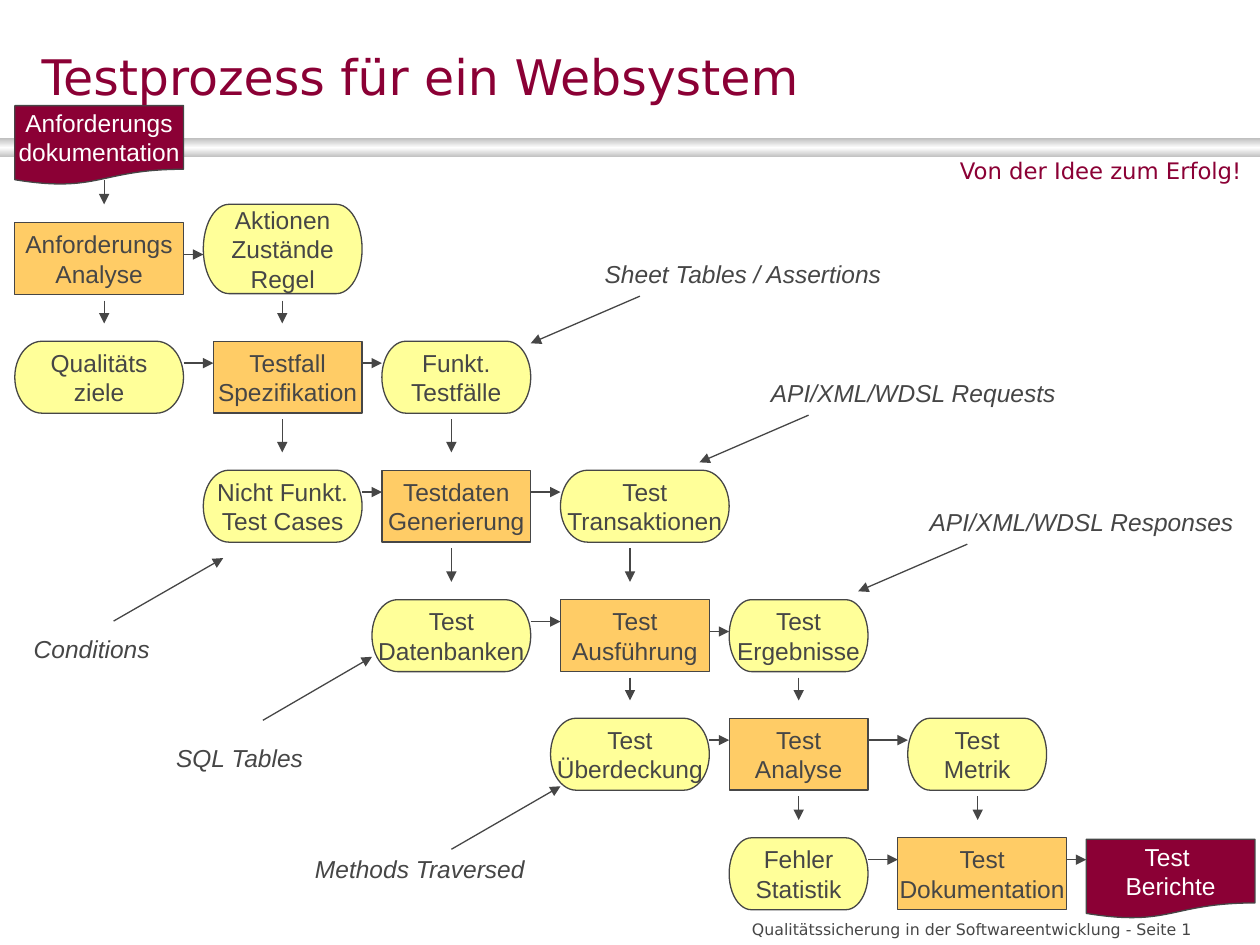
"""Build the slide on the test process for a web system."""
import copy

import lxml.etree
import pptx
import pptx.dml.color
import pptx.enum.dml
import pptx.enum.shapes
import pptx.enum.text
import pptx.oxml.ns
import pptx.util

Cm = pptx.util.Cm
Pt = pptx.util.Pt
ALIGN = pptx.enum.text.PP_ALIGN
SHAPE = pptx.enum.shapes.MSO_SHAPE

COLORS = {
    "wine": "8B0035",
    "step": "FFCC66",
    "result": "FFFF99",
    "ink": "464646",
    "white": "FFFFFF",
    "silver": "C0C0C0",
    "shine": "FEFEFE",
}
KINDS = {
    "step": (SHAPE.RECTANGLE, "step", "ink"),
    "result": (SHAPE.FLOWCHART_TERMINATOR, "result", "ink"),
    "document": (SHAPE.FLOWCHART_DOCUMENT, "wine", "white"),
}
ROW_TOPS = [4.49, 6.88, 9.48, 12.09, 14.48, 16.89]
COLUMN_CENTERS = [2.1, 5.69, 9.1, 12.7, 16.1, 19.71]
BOX_HEIGHT = 1.45
DOCUMENT_HEIGHT = 1.6
HIGH_ENTRY, LOW_ENTRY = 0.44, 0.64

ROWS = [
    [("step", 0.3, 3.4, ["Anforderungs", "Analyse"]),
     ("result", 4.1, 3.2, ["Aktionen", "Zustände", "Regel"])],
    [("result", 0.3, 3.4, ["Qualitäts", "ziele"]),
     ("step", 4.3, 3, ["Testfall", "Spezifikation"]),
     ("result", 7.7, 3, ["Funkt.", "Testfälle"])],
    [("result", 4.1, 3.2, ["Nicht Funkt.", "Test Cases"]),
     ("step", 7.7, 3, ["Testdaten", "Generierung"]),
     ("result", 11.3, 3.4, ["Test", "Transaktionen"])],
    [("result", 7.5, 3.2, ["Test", "Datenbanken"]),
     ("step", 11.3, 3, ["Test", "Ausführung"]),
     ("result", 14.7, 2.8, ["Test", "Ergebnisse"])],
    [("result", 11.1, 3.2, ["Test", "Überdeckung"]),
     ("step", 14.7, 2.8, ["Test", "Analyse"]),
     ("result", 18.3, 2.8, ["Test", "Metrik"])],
    [("result", 14.7, 2.8, ["Fehler", "Statistik"]),
     ("step", 18.1, 3.4, ["Test", "Dokumentation"]),
     ("document", 21.9, 3.4, ["Test ", "Berichte"])],
]
NOTES = [
    ("Conditions", (0.43, 12.65, 2.84), (2.29, 12.52, 4.5, 11.25)),
    ("SQL Tables", (3.3, 14.86, 3.12), (5.3, 14.52, 7.5, 13.24)),
    ("Methods Traversed", (6.1, 17.1, 4.78), (9.1, 17.12, 11.3, 15.85)),
    ("Sheet Tables / Assertions", (11.94, 5.1, 6.4), (12.9, 5.97, 10.7, 6.92)),
    ("API/XML/WDSL Requests", (15.29, 7.5, 6.25), (16.3, 8.37, 14.1, 9.32)),
    ("API/XML/WDSL Responses", (18.49, 10.09, 6.63), (19.5, 10.97, 17.3, 11.92)),
]


def color(name):
    """Return the named colour."""
    return pptx.dml.color.RGBColor.from_string(COLORS[name])


def write(shape, lines, size, font, ink, align=ALIGN.LEFT, italic=False):
    """Write each line as a paragraph of one run."""
    frame = shape.text_frame
    for index, line in enumerate(lines):
        paragraph = frame.add_paragraph() if index else frame.paragraphs[0]
        paragraph.alignment = align
        run = paragraph.add_run()
        run.text = line
        run.font.size = Pt(size)
        run.font.name = font
        run.font.italic = italic
        run.font.color.rgb = color(ink)


def add_label(slide, text, left, top, width, height, size, ink, font="DejaVu Sans",
              align=ALIGN.LEFT, italic=False, wrap=True):
    """Add a single line of free text."""
    shape = slide.shapes.add_textbox(Cm(left), Cm(top), Cm(width), Cm(height))
    shape.text_frame.word_wrap = wrap
    shape.text_frame.auto_size = pptx.enum.text.MSO_AUTO_SIZE.SHAPE_TO_FIT_TEXT
    write(shape, [text], size, font, ink, align, italic)
    return shape


def add_title(slide, text):
    """Add the slide title without insets."""
    shape = add_label(slide, text, 0.84, 0.84, 18.4, 1.4, 28, "wine")
    frame = shape.text_frame
    frame.auto_size = pptx.enum.text.MSO_AUTO_SIZE.NONE
    frame.vertical_anchor = pptx.enum.text.MSO_ANCHOR.MIDDLE
    frame.margin_left = frame.margin_right = 0
    frame.margin_top = frame.margin_bottom = 0


def add_bar(slide):
    """Add the silver bar under the title."""
    shape = slide.shapes.add_shape(SHAPE.RECTANGLE, 0, Cm(2.79), Cm(25.4), Cm(0.38))
    shape.shadow.inherit = False
    shape.line.fill.background()
    shape.fill.gradient()
    shape.fill.gradient_angle = 90
    stop_list = shape._element.spPr.find(".//" + pptx.oxml.ns.qn("a:gsLst"))
    stop_list.append(copy.deepcopy(stop_list[-1]))
    tones = [(0, "silver"), (0.5, "shine"), (1, "silver")]
    for stop, (position, tone) in zip(shape.fill.gradient_stops, tones):
        stop.position = position
        stop.color.rgb = color(tone)


def add_box(slide, kind, left, top, width, height, lines):
    """Add a step, result or document box."""
    preset, fill, ink = KINDS[kind]
    shape = slide.shapes.add_shape(preset, Cm(left), Cm(top), Cm(width), Cm(height))
    shape.shadow.inherit = False
    shape.fill.solid()
    shape.fill.fore_color.rgb = color(fill)
    shape.line.color.rgb = color("ink")
    shape.line.width = Pt(0.75)
    shape.text_frame.word_wrap = False
    shape.text_frame.vertical_anchor = pptx.enum.text.MSO_ANCHOR.MIDDLE
    write(shape, lines, 14, "Arial", ink, ALIGN.CENTER)


def add_arrow(slide, *ends):
    """Add an arrow from the first point to the second."""
    connector = slide.shapes.add_connector(
        pptx.enum.shapes.MSO_CONNECTOR.STRAIGHT, *map(Cm, ends))
    connector.line.color.rgb = color("ink")
    connector.line.width = Pt(0.75)
    qn = pptx.oxml.ns.qn
    properties = connector._element.spPr
    lxml.etree.SubElement(properties.find(qn("a:ln")), qn("a:tailEnd"), type="triangle")
    lxml.etree.SubElement(properties, qn("a:effectLst"))


def add_row(slide, top, boxes):
    """Add one row of boxes, each leading to the next."""
    for kind, left, width, lines in boxes:
        height, box_top = BOX_HEIGHT, top
        if kind == "document":
            height, box_top = DOCUMENT_HEIGHT, top + 0.03
        elif len(lines) == 3:
            height, box_top = 1.8, top - 0.37
        add_box(slide, kind, left, box_top, width, height, lines)
    for source, target in zip(boxes, boxes[1:]):
        low = target[3][0] == "Aktionen" or target[3][-1] == "Ergebnisse"
        y = top + (LOW_ENTRY if low else HIGH_ENTRY)
        add_arrow(slide, source[1] + source[2], y, target[1], y)


def main():
    """Build and save the slide."""
    presentation = pptx.Presentation()
    presentation.slide_width = Cm(25.4)
    presentation.slide_height = Cm(19.05)
    slide = presentation.slides.add_slide(presentation.slide_layouts[6])
    add_label(slide, "Qualitätssicherung in der Softwareentwicklung - Seite 1",
              14.91, 18.42, 10.49, 0.65, 9, "ink")
    add_bar(slide)
    add_label(slide, "Von der Idee zum Erfolg!", 18.92, 3.04, 6.35, 0.8, 13, "wine",
              align=ALIGN.RIGHT)
    add_box(slide, "document", 0.3, 2.13, 3.4, DOCUMENT_HEIGHT,
            ["Anforderungs", "dokumentation"])
    add_arrow(slide, COLUMN_CENTERS[0], 3.63, COLUMN_CENTERS[0], 4.12)
    for top, boxes in zip(ROW_TOPS, ROWS):
        add_row(slide, top, boxes)
    for index, (top, next_top) in enumerate(zip(ROW_TOPS, ROW_TOPS[1:])):
        for x in COLUMN_CENTERS[index:index + 2]:
            add_arrow(slide, x, top + BOX_HEIGHT + 0.12, x, next_top - 0.36)
    for text, (left, top, width), ends in NOTES:
        add_label(slide, text, left, top, width, 0.86, 14, "ink", "Arial",
                  italic=True, wrap=False)
        add_arrow(slide, *ends)
    add_title(slide, "Testprozess für ein Websystem")
    presentation.save("out.pptx")


if __name__ == "__main__":
    main()
